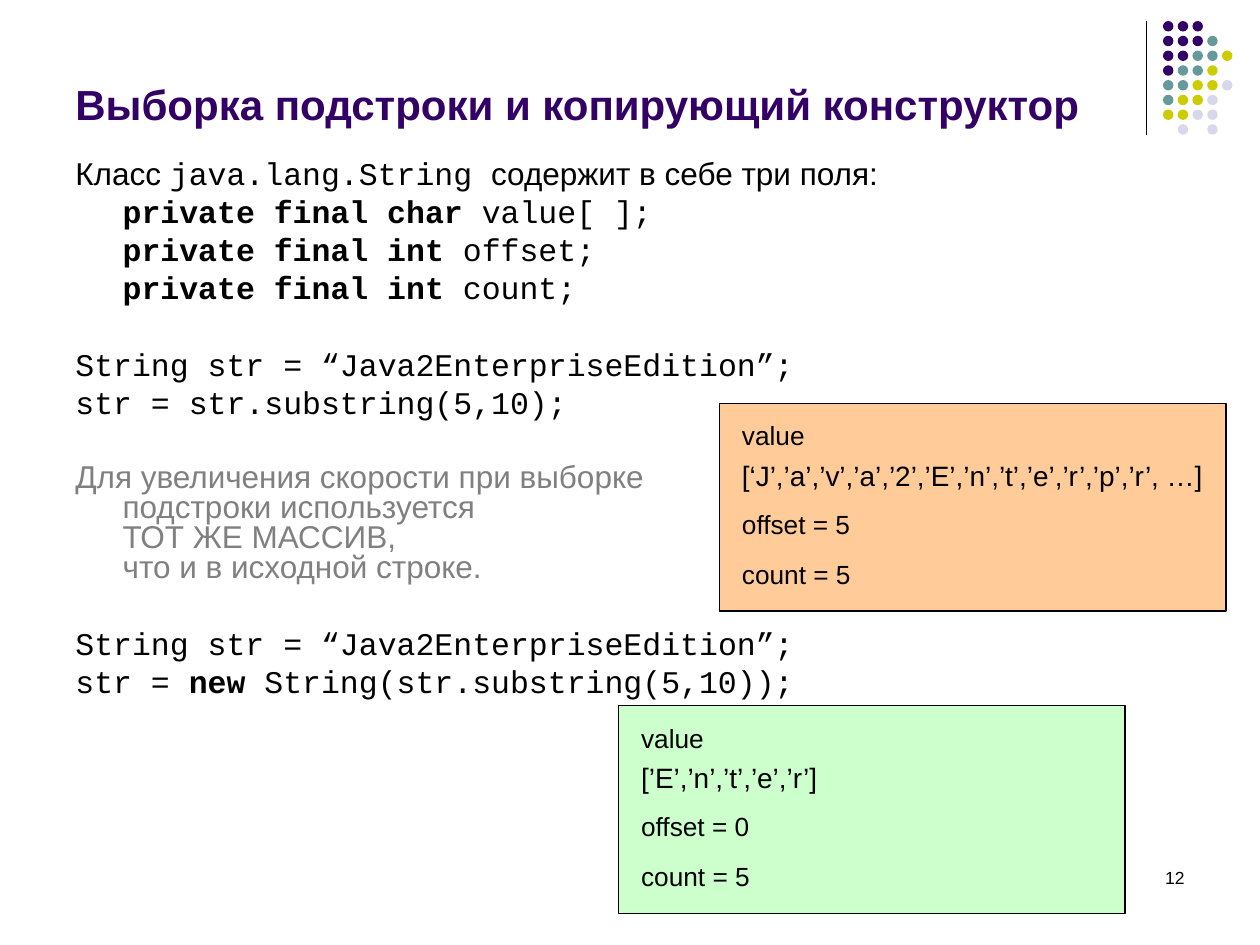
from dataclasses import dataclass

from lxml.etree import SubElement
from pptx import Presentation
from pptx.dml.color import RGBColor
from pptx.enum.shapes import MSO_CONNECTOR, MSO_SHAPE
from pptx.enum.text import MSO_ANCHOR, PP_ALIGN
from pptx.oxml.ns import qn
from pptx.util import Inches, Pt

SLIDE_WIDTH, SLIDE_HEIGHT = Inches(10), Inches(7.5)
COLUMNS, ROWS = 100, 75
SANS, MONO = "Arial", "Courier New"
BLACK, PURPLE, GREY = "000000", "330066", "808080"
DOT_COLORS = {"P": PURPLE, "T": "669999", "Y": "CCCC00", "L": "D8D8EC"}
DOT_ROWS = ("PPP", "PPPT", "PPTTY", "PTTY", "TTYYL", "TYYL", "YYLL", " L L")
DOT_SIZE, DOT_PITCH = 0.83, 1.17
BLANK_LINE = 21.9
PANEL_ROWS = ((0.8, 15), (3.9, 16), (7.85, 15), (11.8, 15))


@dataclass(frozen=True)
class Box:
    """A rectangle in grid columns and rows."""
    column: float
    row: float
    width: float
    height: float

    def lengths(self) -> tuple[int, int, int, int]:
        """Return left, top, width and height as slide lengths."""
        return across(self.column), down(self.row), across(self.width), down(self.height)


@dataclass(frozen=True)
class Piece:
    """A stretch of text in one font."""
    text: str
    font: str = MONO
    bold: bool = False


@dataclass(frozen=True)
class Line:
    """A body paragraph with a hanging indent."""
    pieces: tuple[Piece, ...]
    before: float = 4.5
    color: str = BLACK


@dataclass(frozen=True)
class Panel:
    """A coloured panel showing the fields of a string."""
    column: float
    row: float
    color: str
    fields: tuple[str, ...]


def declaration(keywords: str, name: str) -> Line:
    """Return an indented field declaration."""
    return Line((Piece("\t" + keywords, bold=True), Piece(f" {name};")))


ASSIGNMENT = (Piece("String str = “Java2EnterpriseEdition”;"),)
BODY = (
    Line((Piece("Класс ", SANS), Piece("java.lang.String "),
          Piece("содержит в себе три поля:", SANS))),
    declaration("private final char", "value[ ]"),
    declaration("private final int", "offset"),
    declaration("private final int", "count"),
    Line(ASSIGNMENT, BLANK_LINE + 4.5),
    Line((Piece("str = str.substring(5,10);"),)),
    Line((Piece("Для увеличения скорости при выборке \nподстроки используется \n"
                "ТОТ ЖЕ МАССИВ, \nчто и в исходной строке.", SANS),), BLANK_LINE + 3, GREY),
    Line(ASSIGNMENT, BLANK_LINE + 4.5),
    Line((Piece("str = "), Piece("new", bold=True), Piece(" String(str.substring(5,10));"))),
)
PANELS = (
    Panel(57.1, 32, "FFCC99", ("value", "[‘J’,’a’,’v’,’a’,’2’,’E’,’n’,’t’,’e’,’r’,’p’,’r’, …]",
                               "offset = 5", "count = 5")),
    Panel(49.1, 56, "CCFFCC", ("value", "[’E’,’n’,’t’,’e’,’r’]", "offset = 0", "count = 5")),
)


def across(columns: float) -> int:
    """Convert grid columns to a length."""
    return round(SLIDE_WIDTH * columns / COLUMNS)


def down(rows: float) -> int:
    """Convert grid rows to a length."""
    return round(SLIDE_HEIGHT * rows / ROWS)


def color_of(value: str) -> RGBColor:
    """Convert a hex string to a colour."""
    return RGBColor.from_string(value)


def style_font(font, name: str, size: float, color: str, bold: bool = False) -> None:
    """Set the look of a font."""
    font.name, font.size, font.bold = name, Pt(size), bold
    font.color.rgb = color_of(color)


def add_frame(shapes, box: Box):
    """Add a wrapping text box and return its text frame."""
    frame = shapes.add_textbox(*box.lengths()).text_frame
    frame.word_wrap = True
    return frame


def add_label(shapes, box: Box, text: str, size: float, color: str = BLACK, bold: bool = False):
    """Add a one-paragraph text box and return its text frame."""
    frame = add_frame(shapes, box)
    paragraph = frame.paragraphs[0]
    paragraph.text = text
    style_font(paragraph.font, SANS, size, color, bold)
    return frame


def add_filled(shapes, kind: MSO_SHAPE, box: Box, color: str):
    """Add a flat filled shape without an outline."""
    shape = shapes.add_shape(kind, *box.lengths())
    shape.shadow.inherit = False
    shape.fill.solid()
    shape.fill.fore_color.rgb = color_of(color)
    shape.line.fill.background()
    return shape


def style_line(line) -> None:
    """Make a line thin and black."""
    line.color.rgb = color_of(BLACK)
    line.width = Pt(0.75)


def add_ornament(shapes) -> None:
    """Draw the corner rule and its grid of dots."""
    rule = shapes.add_connector(MSO_CONNECTOR.STRAIGHT, across(91), down(1.7),
                                across(91), down(10.7))
    style_line(rule.line)
    SubElement(rule._element.spPr, qn("a:effectLst"))
    dots = shapes.add_group_shape().shapes
    for row, pattern in enumerate(DOT_ROWS):
        for column, key in enumerate(pattern):
            if key in DOT_COLORS:
                box = Box(92.3 + column * DOT_PITCH, 1.67 + row * DOT_PITCH, DOT_SIZE, DOT_SIZE)
                add_filled(dots, MSO_SHAPE.OVAL, box, DOT_COLORS[key])


def add_line(paragraph, line: Line) -> None:
    """Write one body line into a paragraph."""
    properties = paragraph._p.get_or_add_pPr()
    properties.set("marL", str(across(3.75)))
    properties.set("indent", str(-across(3.75)))
    paragraph.line_spacing = 0.8
    paragraph.space_before = Pt(line.before)
    for piece in line.pieces:
        for index, text in enumerate(piece.text.split("\n")):
            if index:
                paragraph.add_line_break()
            run = paragraph.add_run()
            run.text = text
            style_font(run.font, piece.font, 18, line.color, piece.bold)


def add_body(shapes) -> None:
    """Write the body text."""
    frame = add_frame(shapes, Box(5, 12.3, 68.6, 54.7))
    for index, line in enumerate(BODY):
        add_line(frame.add_paragraph() if index else frame.paragraphs[0], line)


def add_panel(shapes, panel: Panel) -> None:
    """Draw a panel and its field labels as a group."""
    members = shapes.add_group_shape().shapes
    box = Box(panel.column, panel.row, 40.2, 16.5)
    style_line(add_filled(members, MSO_SHAPE.RECTANGLE, box, panel.color).line)
    for text, (offset, size) in zip(panel.fields, PANEL_ROWS):
        add_label(members, Box(panel.column + 0.8, panel.row + offset, 39.4, 3.6), text, size)


def main() -> None:
    """Build and save the slide."""
    presentation = Presentation()
    presentation.slide_width, presentation.slide_height = SLIDE_WIDTH, SLIDE_HEIGHT
    shapes = presentation.slides.add_slide(presentation.slide_layouts[6]).shapes
    add_ornament(shapes)
    number = add_label(shapes, Box(71.7, 68.3, 23.3, 5), "12", 10)
    number.paragraphs[0].alignment = PP_ALIGN.RIGHT
    title = add_label(shapes, Box(5, 1.3, 84.4, 9.4),
                      "Выборка подстроки и копирующий конструктор", 24, PURPLE, True)
    title.vertical_anchor = MSO_ANCHOR.BOTTOM
    add_body(shapes)
    for panel in PANELS:
        add_panel(shapes, panel)
    presentation.save("out.pptx")


if __name__ == "__main__":
    main()
